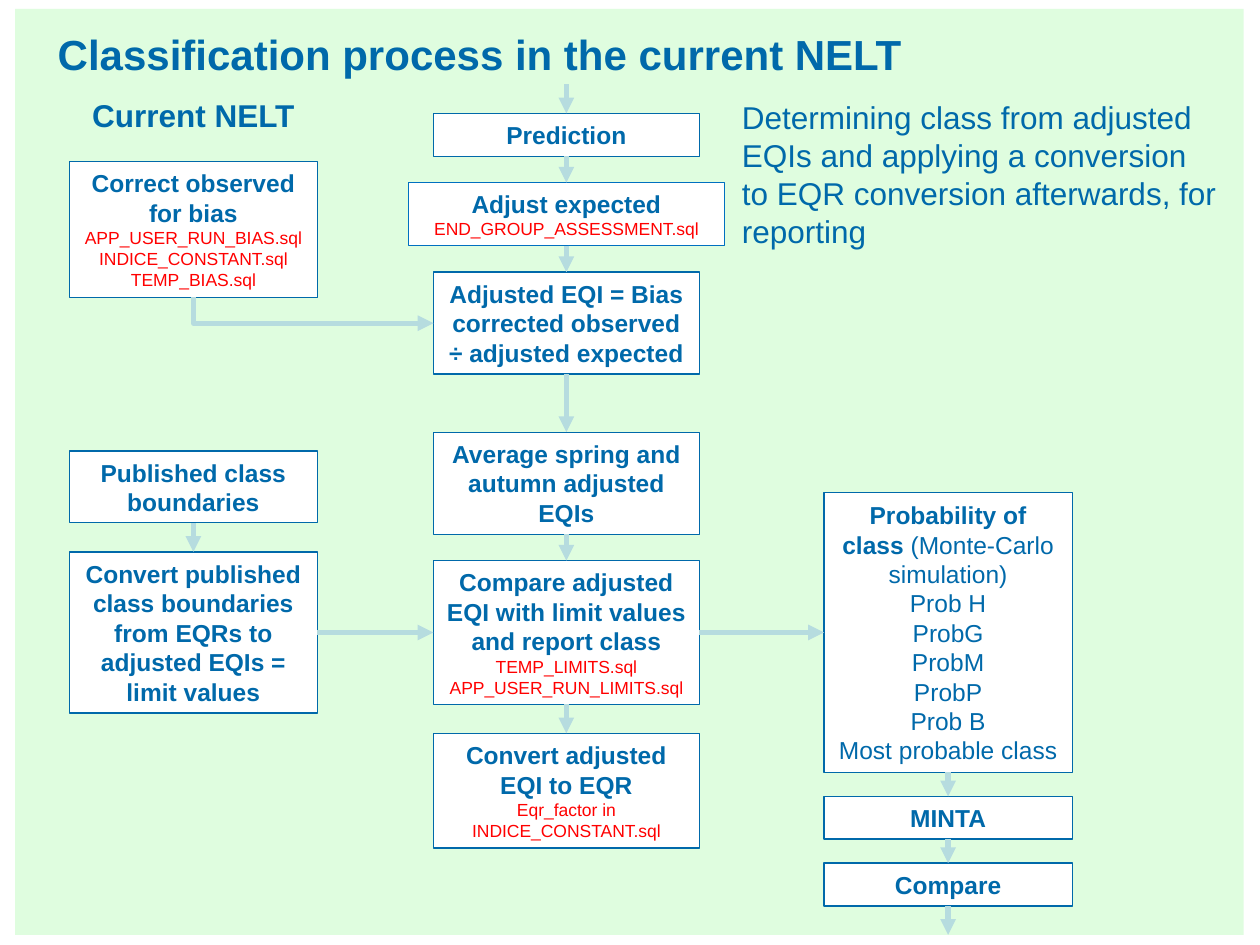
"""Build a flow chart slide of the classification process in the current NELT."""
import lxml.etree
import pptx
import pptx.dml.color
import pptx.enum.shapes
import pptx.enum.text
import pptx.oxml.ns
import pptx.util

RGB = pptx.dml.color.RGBColor
BLUE = RGB(0x00, 0x69, 0xAA)
EDGE = RGB(0x00, 0x70, 0xC0)
RED = RGB(0xFF, 0x00, 0x00)
WHITE = RGB(0xFF, 0xFF, 0xFF)
MINT = RGB(0xDF, 0xFD, 0xDF)
TEAL = RGB(0xB6, 0xDC, 0xDF)

FONT = "Arial"
WIDE, HIGH = 10, 7.5
PANEL = (0.12, 0.07, 9.75, 7.35)
MID_ROW = 5.02
FLOW_TOP = 0.67

STYLES = {
    "title": (24, True, BLUE),
    "label": (18, True, BLUE),
    "note": (18, False, BLUE),
    "head": (14, True, BLUE),
    "body": (14, False, BLUE),
    "file": (10, False, RED),
}

COLS = {
    "left": (0.55, 1.97),
    "mid": (3.44, 2.11),
    "broad": (3.24, 2.51),
    "right": (6.54, 1.97),
}

TEXTS = [
    ((0.36, 0.07, 9.29, 0.71), "title", "Classification process in the current NELT", "l", "m"),
    ((0.48, 0.71, 2.11, 0.42), "label", "Current NELT", "c", "t"),
    ((5.79, 0.73, 3.99, 1.31), "note",
     "Determining class from adjusted EQIs and applying a conversion "
     "to EQR conversion afterwards, for reporting", "l", "t"),
]

BOXES = {
    "bias": ("left", 1.28, 1.08, [
        [("head", "Correct observed for bias")],
        [("file", "APP_USER_RUN_BIAS.sql")],
        [("file", "INDICE_CONSTANT.sql")],
        [("file", "TEMP_BIAS.sql")]]),
    "bounds": ("left", 3.58, 0.57, [[("head", "Published class boundaries")]]),
    "limits": ("left", 4.38, 1.28, [
        [("head", "Convert published class boundaries from EQRs to adjusted EQIs = limit values")]]),
    "predict": ("mid", 0.9, 0.34, [[("head", "Prediction")]]),
    "adjust": ("broad", 1.45, 0.5, [
        [("head", "Adjust expected")],
        [("file", "END_GROUP_ASSESSMENT.sql")]]),
    "ratio": ("mid", 2.16, 0.81, [
        [("head", "Adjusted EQI = Bias corrected observed ÷ adjusted expected")]]),
    "average": ("mid", 3.43, 0.81, [
        [("head", "Average spring and autumn adjusted EQIs")]]),
    "report": ("mid", 4.45, 1.14, [
        [("head", "Compare adjusted EQI with limit values and report class")],
        [("file", "TEMP_LIMITS.sql")],
        [("file", "APP_USER_RUN_LIMITS.sql")]]),
    "convert": ("mid", 5.82, 0.91, [
        [("head", "Convert adjusted EQI to EQR")],
        [("file", "Eqr_factor in INDICE_CONSTANT.sql")]]),
    "chance": ("right", 3.91, 2.22, [
        [("head", "Probability of class "), ("body", "(Monte-Carlo simulation)")],
        [("body", "Prob H")],
        [("body", "ProbG")],
        [("body", "ProbM")],
        [("body", "ProbP")],
        [("body", "Prob B")],
        [("body", "Most probable class")]]),
    "minta": ("right", 6.32, 0.34, [[("head", "MINTA")]]),
    "compare": ("right", 6.85, 0.34, [[("head", "Compare")]]),
}

CHAINS = [
    ("predict", "adjust", "ratio", "average", "report", "convert"),
    ("bounds", "limits"),
    ("chance", "minta", "compare"),
]
ACROSS = ("left", "mid", "right")

inch = pptx.util.Inches
ALIGN = {"l": pptx.enum.text.PP_ALIGN.LEFT, "c": pptx.enum.text.PP_ALIGN.CENTER}
ANCHOR = {"m": pptx.enum.text.MSO_ANCHOR.MIDDLE, "t": pptx.enum.text.MSO_ANCHOR.TOP}
LINK = pptx.enum.shapes.MSO_CONNECTOR


def write(shape, paras, align, anchor):
    frame = shape.text_frame
    frame.word_wrap = True
    frame.vertical_anchor = ANCHOR[anchor]
    for i, parts in enumerate(paras):
        para = frame.add_paragraph() if i else frame.paragraphs[0]
        para.alignment = ALIGN[align]
        for style, text in parts:
            run = para.add_run()
            run.text = text
            size, bold, color = STYLES[style]
            run.font.name = FONT
            run.font.size = pptx.util.Pt(size)
            run.font.bold = bold
            run.font.color.rgb = color


def block(slide, place, fill, edge=None):
    shape = slide.shapes.add_shape(
        pptx.enum.shapes.MSO_SHAPE.RECTANGLE, *map(inch, place))
    shape.shadow.inherit = False
    shape.fill.solid()
    shape.fill.fore_color.rgb = fill
    if edge is None:
        shape.line.fill.background()
    else:
        shape.line.color.rgb = edge
        shape.line.width = pptx.util.Pt(0.75)
    return shape


def arrow(slide, start, end, kind=LINK.STRAIGHT):
    link = slide.shapes.add_connector(kind, *map(inch, start + end))
    link.line.color.rgb = TEAL
    link.line.width = pptx.util.Pt(3)
    qn = pptx.oxml.ns.qn
    props = link._element.spPr
    lxml.etree.SubElement(props.find(qn("a:ln")), qn("a:tailEnd"), type="triangle")
    lxml.etree.SubElement(props, qn("a:effectLst"))
    return props


def elbow(slide, start, end):
    run, drop = end[0] - start[0], end[1] - start[1]
    x, y = (start[0] + end[0]) / 2, (start[1] + end[1]) / 2
    props = arrow(slide, (x + drop / 2, y - run / 2), (x - drop / 2, y + run / 2), LINK.ELBOW)
    props.find(pptx.oxml.ns.qn("a:xfrm")).set("rot", str(270 * 60000))
    props.find(pptx.oxml.ns.qn("a:prstGeom")).set("prst", "bentConnector2")


def center(col):
    left, width = COLS[col]
    return left + width / 2


def top(name):
    col, y, _, _ = BOXES[name]
    return center(col), y


def foot(name):
    col, y, height, _ = BOXES[name]
    return center(col), y + height


def main():
    deck = pptx.Presentation()
    deck.slide_width, deck.slide_height = inch(WIDE), inch(HIGH)
    slide = deck.slides.add_slide(deck.slide_layouts[6])
    block(slide, PANEL, MINT)

    for place, style, text, align, anchor in TEXTS:
        shape = slide.shapes.add_textbox(*map(inch, place))
        write(shape, [[(style, text)]], align, anchor)

    for col, y, height, paras in BOXES.values():
        left, width = COLS[col]
        edge = EDGE if col == "broad" else BLUE
        write(block(slide, (left, y, width, height), WHITE, edge), paras, "c", "m")

    for chain in CHAINS:
        for a, b in zip(chain, chain[1:]):
            arrow(slide, foot(a), top(b))
    for a, b in zip(ACROSS, ACROSS[1:]):
        arrow(slide, (sum(COLS[a]), MID_ROW), (COLS[b][0], MID_ROW))
    arrow(slide, (center("mid"), FLOW_TOP), top("predict"))
    arrow(slide, foot("compare"), (center("right"), PANEL[1] + PANEL[3]))
    elbow(slide, foot("bias"), (COLS["mid"][0], (top("ratio")[1] + foot("ratio")[1]) / 2))

    deck.save("out.pptx")


if __name__ == "__main__":
    main()
